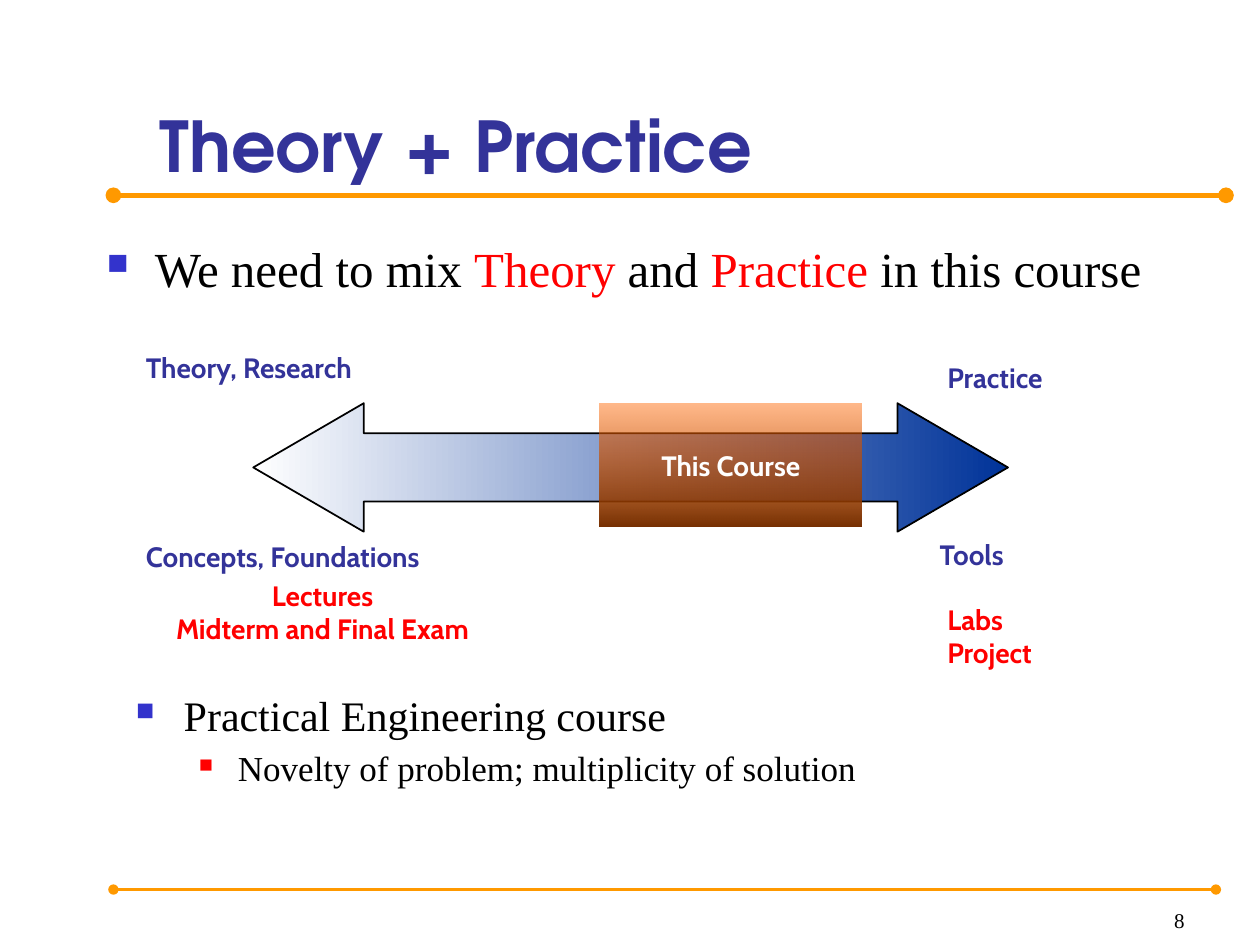
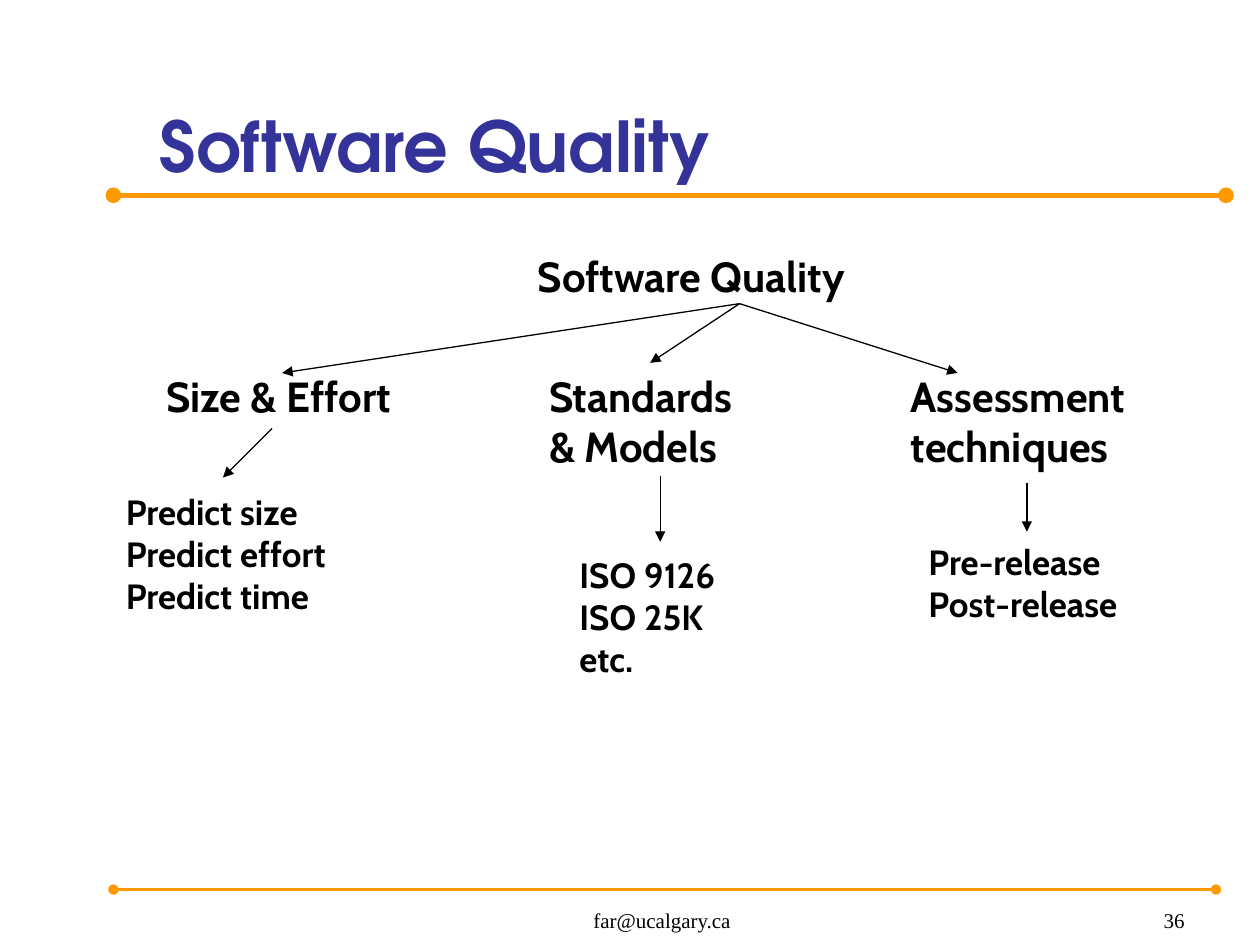
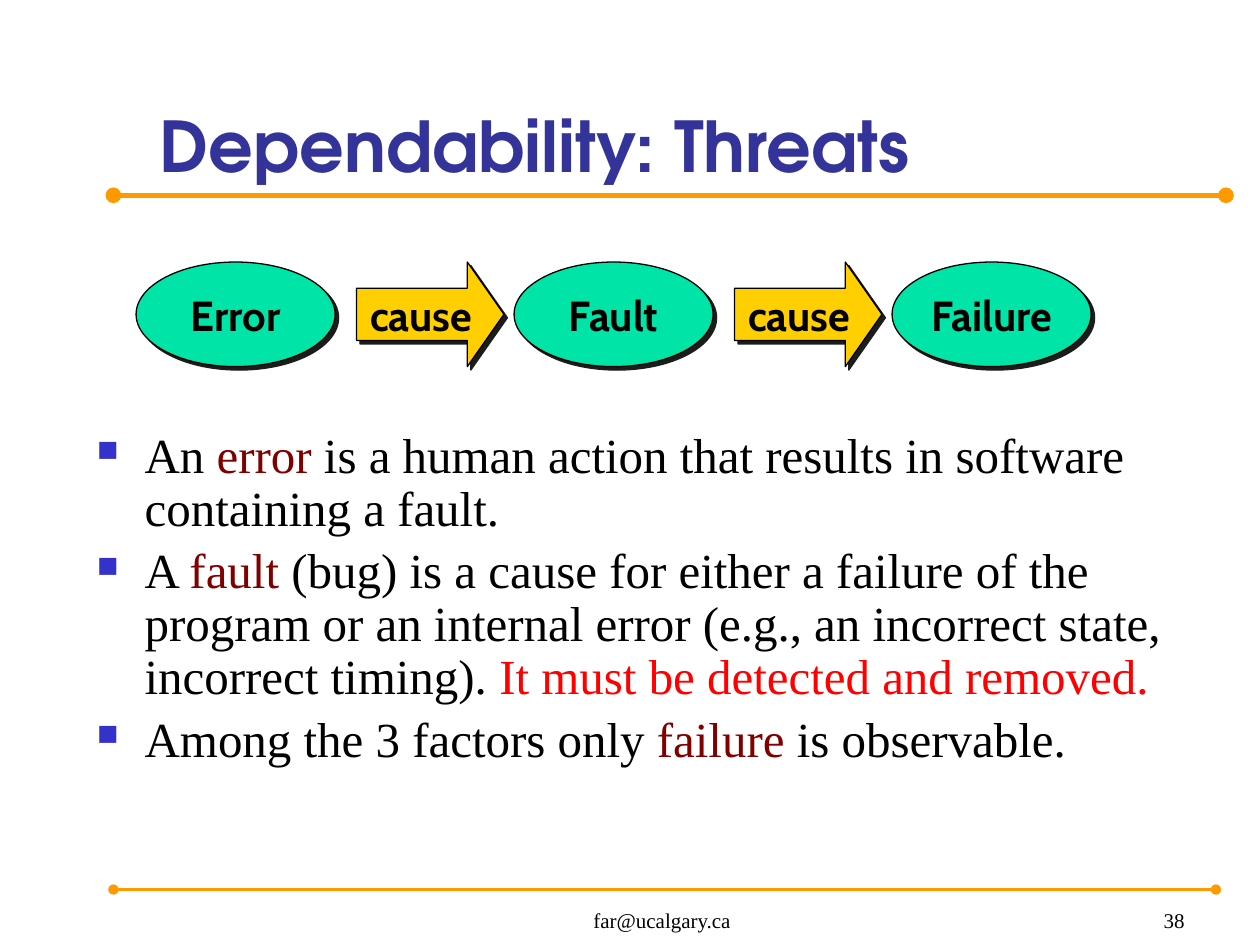
from dataclasses import dataclass

from lxml import etree
from pptx import Presentation
from pptx.dml.color import RGBColor
from pptx.enum.shapes import MSO_CONNECTOR, MSO_SHAPE
from pptx.enum.text import MSO_ANCHOR, PP_ALIGN
from pptx.oxml.ns import qn
from pptx.util import Pt

EMU_PER_PX = 9144  # 100 px to the inch
BLANK_LAYOUT = 6
STRAIGHT = MSO_CONNECTOR.STRAIGHT
RECTANGLE, ELLIPSE = MSO_SHAPE.RECTANGLE, MSO_SHAPE.OVAL
RIGHT_ARROW, DOUBLE_ARROW = MSO_SHAPE.RIGHT_ARROW, MSO_SHAPE.LEFT_RIGHT_ARROW
TOP, MIDDLE, BOTTOM = MSO_ANCHOR.TOP, MSO_ANCHOR.MIDDLE, MSO_ANCHOR.BOTTOM
LEFT, CENTER, RIGHT = PP_ALIGN.LEFT, PP_ALIGN.CENTER, PP_ALIGN.RIGHT


@dataclass(frozen=True)
class Theme:
    title_font: str = "TeX Gyre Adventor"
    label_font: str = "Cabin"
    body_font: str = "Times New Roman"
    title_size: int = 40
    body_size: int = 28
    heading_size: int = 24
    detail_size: int = 20
    label_size: int = 16
    footer_size: int = 12
    ink: str = "000000"
    white: str = "FFFFFF"
    navy: str = "333399"
    orange: str = "FF9900"
    red: str = "FF0000"
    maroon: str = "800000"
    bullet: str = "3333CC"
    arrow_blue: str = "003399"
    course_top: str = "FF6600"
    course_bottom: str = "762F00"
    green: str = "00E4A8"
    yellow: str = "FFCF01"
    shadow: str = "1C1C1C"


THEME = Theme()


def px(*lengths):
    return [length * EMU_PER_PX for length in lengths]


def rgb(color):
    return RGBColor.from_string(color)


def add_xml(parent, tag, **attributes):
    return etree.SubElement(parent, qn(tag), {k: str(v) for k, v in attributes.items()})


def assign(target, values):
    for name, value in values.items():
        setattr(target, name, value)


class DeckBuilder:
    """Holds the theme and the current slide, and draws each kind of element."""

    def __init__(self, theme):
        self.theme = theme
        self.deck = Presentation()
        self.deck.slide_width, self.deck.slide_height = px(1000, 750)
        self.page = None

    def add_page(self, title, number, email=None):
        theme = self.theme
        self.page = self.deck.slides.add_slide(self.deck.slide_layouts[BLANK_LAYOUT])
        for right, y, width in ((973, 155, 3), (965, 706, 1.5)):
            self.line((90, y), (right, y), theme.orange, width, head="oval", tail="oval")
        self.text((117, 28, 861, 125), [title], theme.title_size, theme.navy,
                  font=theme.title_font, bold=True, anchor=BOTTOM)
        footer = {"size": theme.footer_size, "color": theme.ink, "font": theme.body_font,
                  "bold": False, "anchor": BOTTOM}
        if email:
            self.text((367, 701, 317, 44), [email], align=CENTER, **footer)
        self.text((742, 701, 208, 44), [str(number)], align=RIGHT, **footer)

    def line(self, start, end, color, width, head="none", tail="none"):
        connector = self.page.shapes.add_connector(STRAIGHT, *px(*start, *end))
        connector.line.color.rgb = rgb(color)
        connector.line.width = Pt(width)
        properties = connector.element.spPr
        outline = properties.find(qn("a:ln"))
        add_xml(outline, "a:headEnd", type=head)
        add_xml(outline, "a:tailEnd", type=tail)
        add_xml(properties, "a:effectLst")

    def spans(self, para, parts, size, color, font, bold):
        """Add runs; a part is a string or a (text, color) pair."""
        for part in parts:
            words, tint = (part, color) if isinstance(part, str) else part
            span = para.add_run()
            span.text = words
            assign(span.font, {"name": font, "size": Pt(size), "bold": bold})
            span.font.color.rgb = rgb(tint)

    def fill_frame(self, frame, rows, size, color, font, bold, align):
        for index, row in enumerate(rows):
            para = frame.add_paragraph() if index else frame.paragraphs[0]
            para.alignment = align
            self.spans(para, [row], size, color, font, bold)

    def text(self, place, rows, size, color, font=None, bold=True, align=LEFT, anchor=TOP):
        frame = self.page.shapes.add_textbox(*px(*place)).text_frame
        assign(frame, {"word_wrap": True, "vertical_anchor": anchor})
        self.fill_frame(frame, rows, size, color, font or self.theme.label_font, bold, align)

    def bullets(self, place, items, line_spacing=1.0):
        """Write bulleted items, each a (level, size, parts) tuple."""
        theme = self.theme
        styles = ((38, -38, theme.bullet, 60000), (81, -31, theme.red, 55000))
        frame = self.page.shapes.add_textbox(*px(*place)).text_frame
        assign(frame, {"word_wrap": True, "margin_top": px(9)[0]})
        for index, (level, size, parts) in enumerate(items):
            margin, indent, color, scale = styles[level]
            para = frame.add_paragraph() if index else frame.paragraphs[0]
            assign(para, {"level": level, "line_spacing": line_spacing,
                          "space_before": Pt(0.2 * size if index else 0)})
            properties = para._p.get_or_add_pPr()
            properties.set("marL", str(margin * EMU_PER_PX))
            properties.set("indent", str(indent * EMU_PER_PX))
            add_xml(add_xml(properties, "a:buClr"), "a:srgbClr", val=color)
            add_xml(properties, "a:buSzPct", val=scale)
            add_xml(properties, "a:buChar", char="■")
            self.spans(para, parts, size, theme.ink, theme.body_font, False)

    def shape(self, kind, place, label=None, size=None, color=None, fill=None,
              outline=None, adjustments=()):
        """Draw a preset shape; outline is its width in points, or None."""
        shape = self.page.shapes.add_shape(kind, *px(*place))
        shape.shadow.inherit = False
        for index, value in enumerate(adjustments):
            shape.adjustments[index] = value
        if fill:
            shape.fill.solid()
            shape.fill.fore_color.rgb = rgb(fill)
        if outline:
            shape.line.color.rgb = rgb(self.theme.ink)
            shape.line.width = Pt(outline)
        else:
            shape.line.fill.background()
        if label:
            assign(shape.text_frame, {"word_wrap": False, "vertical_anchor": MIDDLE})
            self.fill_frame(shape.text_frame, [label], size, color,
                            self.theme.label_font, True, CENTER)
        return shape

    def gradient(self, shape, colors, angle, first_alpha=None):
        shape.fill.gradient()
        shape.fill.gradient_angle = angle
        for stop, color in zip(shape.fill.gradient_stops, colors):
            stop.color.rgb = rgb(color)
        if first_alpha:
            first_color = shape.element.spPr.find(".//" + qn("a:srgbClr"))
            add_xml(first_color, "a:alpha", val=first_alpha * 1000)

    def hard_shadow(self, shape):
        effects = shape.element.spPr.find(qn("a:effectLst"))
        shadow = add_xml(effects, "a:outerShdw", blurRad=0, dist=Pt(2.8),
                         dir=45 * 60000, algn="ctr", rotWithShape=0)
        add_xml(shadow, "a:srgbClr", val=self.theme.shadow)


def theory_and_practice(builder):
    theme = builder.theme
    builder.add_page("Theory + Practice", 8)
    builder.bullets((75, 180, 882, 82), [
        (0, theme.body_size, ["We need to mix ", ("Theory", theme.red), " and ",
                              ("Practice", theme.red), " in this course"])])

    spectrum = builder.shape(DOUBLE_ARROW, (201, 320, 599, 102), outline=1,
                             adjustments=(0.53, 0.86))
    builder.gradient(spectrum, (theme.white, theme.arrow_blue), 0)
    for place, label in (((736, 422, 80, 37), "Tools"),
                         ((106, 423, 300, 37), "Concepts, Foundations"),
                         ((742, 281, 112, 37), "Practice"),
                         ((106, 273, 216, 37), "Theory, Research")):
        builder.text(place, [label], theme.label_size, theme.navy)
    course = builder.shape(RECTANGLE, (476, 320, 208, 98), "This Course",
                           theme.label_size, theme.white)
    builder.gradient(course, (theme.course_top, theme.course_bottom), 270, first_alpha=46)

    builder.text((109, 454, 294, 64), ["Lectures", "Midterm and Final Exam"],
                 theme.label_size, theme.red, align=CENTER)
    builder.text((742, 473, 101, 64), ["Labs", "Project"], theme.label_size, theme.red)
    builder.bullets((98, 538, 866, 121), [
        (0, theme.heading_size, ["Practical Engineering course"]),
        (1, theme.detail_size, ["Novelty of problem; multiplicity of solution"])])


def software_quality(builder, email):
    theme = builder.theme
    builder.add_page("Software Quality", 36, email)
    headings = (((417, 194, 315, 50), ["Software Quality"]),
                ((122, 289, 231, 50), ["Size & Effort"]),
                ((426, 289, 192, 91), ["Standards", "& Models"]),
                ((713, 289, 220, 91), ["Assessment", "techniques"]))
    details = (((90, 384, 207, 111), ["Predict size", "Predict effort", "Predict time"]),
               ((450, 434, 153, 111), ["ISO 9126", "ISO 25K", "etc."]),
               ((727, 424, 195, 77), ["Pre-release", "Post-release"]))
    for size, blocks in ((theme.heading_size, headings), (theme.detail_size, details)):
        for place, rows in blocks:
            builder.text(place, rows, size, theme.ink)

    root = (587, 241)
    branches = [(root, end) for end in ((224, 296), (516, 288), (760, 296))]
    leaves = [((216, 340), (177, 379)), ((524, 378), (524, 430)), ((815, 383), (815, 422))]
    for start, end in branches + leaves:
        builder.line(start, end, theme.ink, 0.75, tail="triangle")


def dependability_threats(builder, email):
    theme = builder.theme
    builder.add_page("Dependability: Threats", 38, email)
    body = [
        ["An ", ("error", theme.maroon),
         " is a human action that results in software containing a fault."],
        ["A ", ("fault", theme.maroon),
         " (bug) is a cause for either a failure of the program or an internal error "
         "(e.g., an incorrect state, incorrect timing). ",
         ("It must be detected and removed.", theme.red)],
        ["Among the 3 factors only ", ("failure", theme.maroon), " is observable."]]
    builder.bullets((67, 333, 900, 308), [(0, theme.body_size, parts) for parts in body],
                    line_spacing=0.9)

    top, height, pitch = 208, 83, 300
    label_style = {"size": theme.heading_size, "color": theme.ink, "outline": 0.75}
    threats = ("Error", "Fault", "Failure")
    for index, threat in enumerate(threats):
        left = 108 + index * pitch
        builder.hard_shadow(builder.shape(
            ELLIPSE, (left, top, 158, height), threat, fill=theme.green, **label_style))
        if index < len(threats) - 1:
            builder.hard_shadow(builder.shape(
                RIGHT_ARROW, (left + 175, top, 117, height), "cause", fill=theme.yellow,
                adjustments=(0.5, 0.35), **label_style))


def main():
    builder = DeckBuilder(THEME)
    email = "far@ucalgary.ca"
    theory_and_practice(builder)
    software_quality(builder, email)
    dependability_threats(builder, email)
    builder.deck.save("out.pptx")


if __name__ == "__main__":
    main()
